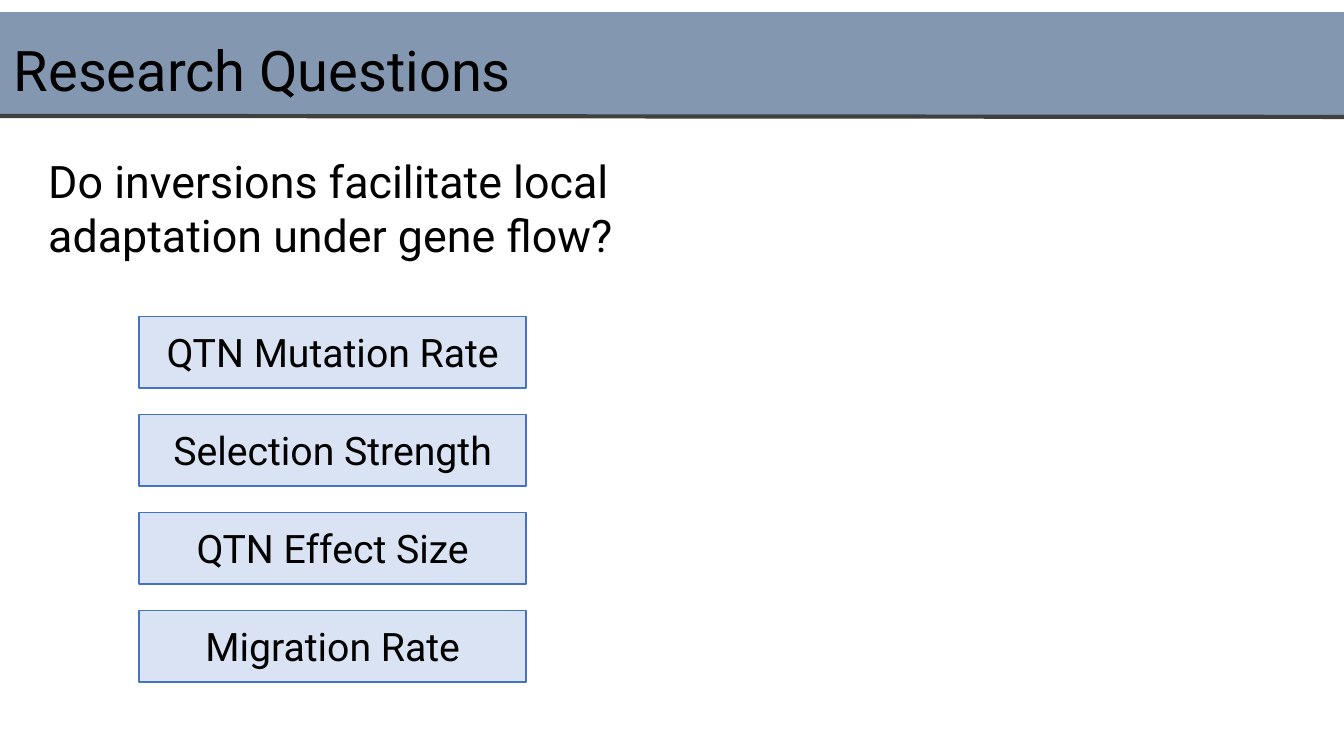
from pptx import Presentation
from pptx.dml.color import RGBColor
from pptx.enum.shapes import MSO_CONNECTOR, MSO_SHAPE
from pptx.enum.text import MSO_ANCHOR, PP_ALIGN
from pptx.oxml.ns import qn
from pptx.util import Pt
from lxml import etree

# Content
TITLE = "Research Questions"
QUESTION = "Do inversions facilitate local adaptation under gene flow?"
FACTORS = ["QTN Mutation Rate", "Selection Strength", "QTN Effect Size", "Migration Rate"]

# Format
BLACK = RGBColor(0x00, 0x00, 0x00)
BAND = RGBColor(0x84, 0x97, 0xB0)
RULE = RGBColor(0x40, 0x40, 0x40)
BOX_FILL = RGBColor(0xDA, 0xE3, 0xF3)
BOX_LINE = RGBColor(0x44, 0x72, 0xC4)
RECT, STRAIGHT = MSO_SHAPE.RECTANGLE, MSO_CONNECTOR.STRAIGHT
TOP, MIDDLE = MSO_ANCHOR.TOP, MSO_ANCHOR.MIDDLE
LEFT, CENTER = PP_ALIGN.LEFT, PP_ALIGN.CENTER
WIDTH, HEIGHT = 960, 540
BAND_TOP, BAND_H = 8.64, 74.16
BOX_X, BOX_Y, BOX_W, BOX_H, BOX_PITCH = 99.36, 226.08, 276.48, 51.12, 70

prs = Presentation()
prs.slide_width, prs.slide_height = Pt(WIDTH), Pt(HEIGHT)
s = prs.slides.add_slide(prs.slide_layouts[6])


def add_rect(x, y, w, h, fill, line=None):
    sp = s.shapes.add_shape(RECT, Pt(x), Pt(y), Pt(w), Pt(h))
    sp.shadow.inherit = False
    sp.fill.solid()
    sp.fill.fore_color.rgb = fill
    if line is None:
        sp.line.fill.background()
    else:
        sp.line.color.rgb = line
        sp.line.width = Pt(1)
    return sp


def set_text(sp, text, size, anchor, align, spacing=1.0):
    tf = sp.text_frame
    tf.word_wrap = True
    tf.vertical_anchor = anchor
    p = tf.paragraphs[0]
    p.alignment = align
    p.line_spacing = spacing
    r = p.add_run()
    r.text = text
    for name, value in {"name": "Roboto", "size": Pt(size)}.items():
        setattr(r.font, name, value)
    r.font.color.rgb = BLACK


# Title band
add_rect(0, BAND_TOP, WIDTH, BAND_H, BAND)
title = s.shapes.add_textbox(Pt(2.88), Pt(0), Pt(871.92), Pt(104.4))
set_text(title, TITLE, 40, MIDDLE, LEFT, 0.9)
rule_y = BAND_TOP + BAND_H
rule = s.shapes.add_connector(STRAIGHT, Pt(0), Pt(rule_y), Pt(WIDTH), Pt(rule_y + 0.72))
rule.line.color.rgb = RULE
rule.line.width = Pt(3)
etree.SubElement(rule._element.spPr, qn("a:effectLst"))

# Question
question = s.shapes.add_textbox(Pt(27.36), Pt(106.56), Pt(473.76), Pt(84))
set_text(question, QUESTION, 32, TOP, LEFT)

# Factor boxes
for i, factor in enumerate(FACTORS):
    box = add_rect(BOX_X, BOX_Y + i * BOX_PITCH, BOX_W, BOX_H, BOX_FILL, BOX_LINE)
    set_text(box, factor, 28, MIDDLE, CENTER)

prs.save("out.pptx")
